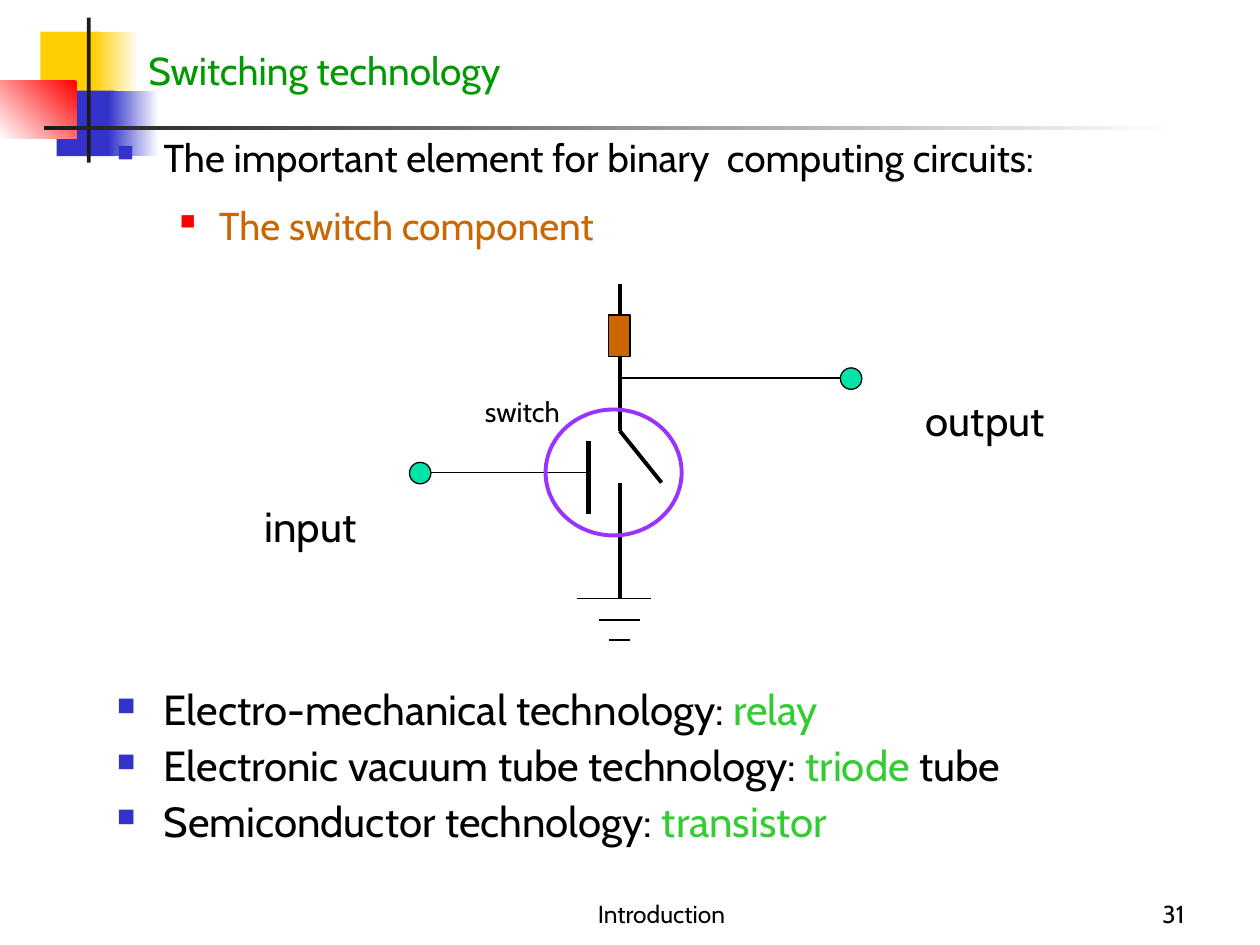
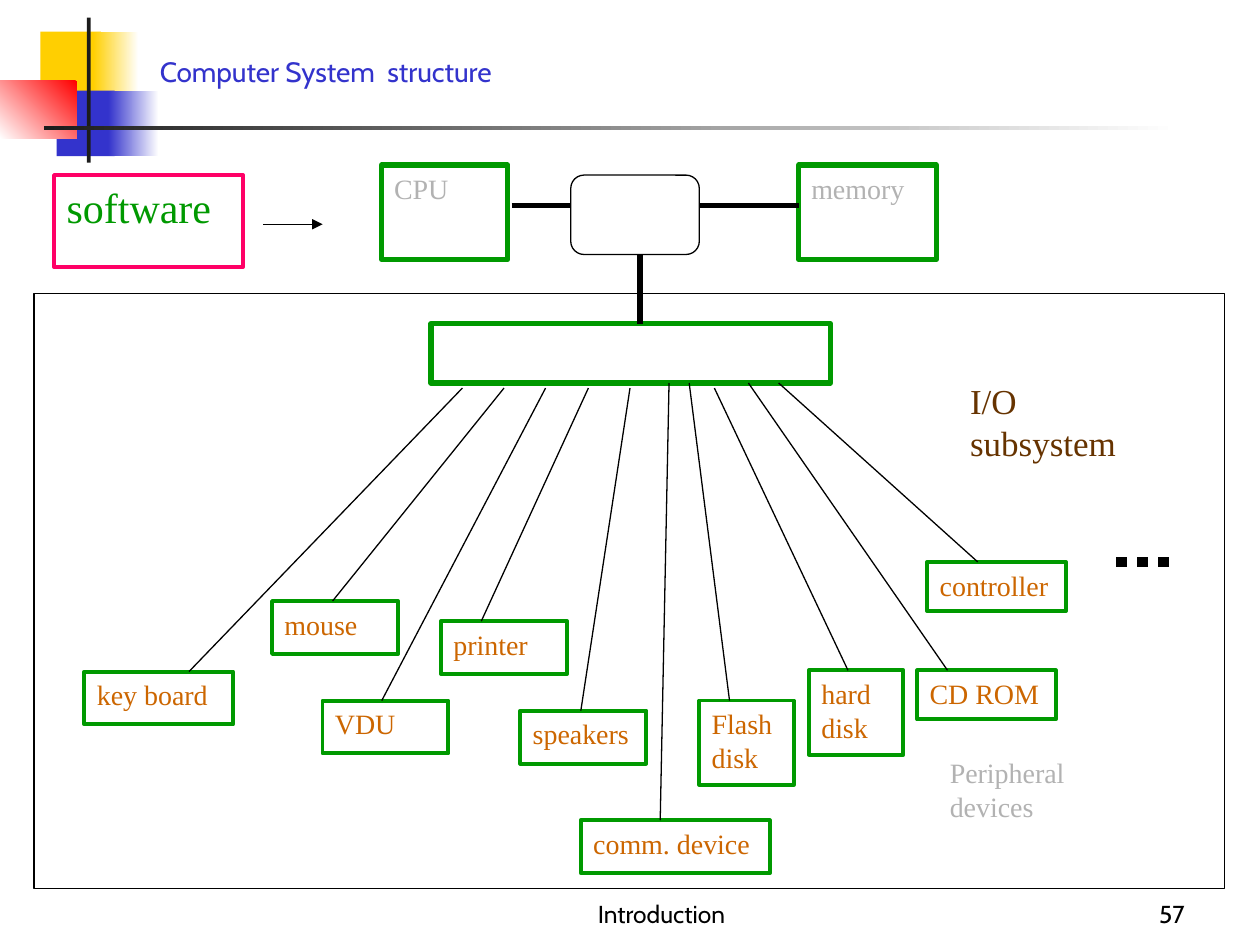
from lxml import etree
from pptx import Presentation
from pptx.dml.color import RGBColor
from pptx.enum.dml import MSO_LINE
from pptx.enum.shapes import MSO_CONNECTOR, MSO_SHAPE
from pptx.enum.text import MSO_ANCHOR, PP_ALIGN
from pptx.oxml.ns import qn
from pptx.util import Inches, Pt

RECT, ROUND, OVAL = MSO_SHAPE.RECTANGLE, MSO_SHAPE.ROUNDED_RECTANGLE, MSO_SHAPE.OVAL
STRAIGHT = MSO_CONNECTOR.STRAIGHT
DOTS = MSO_LINE.ROUND_DOT
LEFT, CENTER, RIGHT = PP_ALIGN.LEFT, PP_ALIGN.CENTER, PP_ALIGN.RIGHT
TOP, MIDDLE, BOTTOM = MSO_ANCHOR.TOP, MSO_ANCHOR.MIDDLE, MSO_ANCHOR.BOTTOM

BLACK = RGBColor(0x00, 0x00, 0x00)
WHITE = RGBColor(0xFF, 0xFF, 0xFF)
INK = RGBColor(0x1C, 0x1C, 0x1C)
GOLD = RGBColor(0xFF, 0xCF, 0x01)
BLUE = RGBColor(0x33, 0x33, 0xCC)
RED = RGBColor(0xFF, 0x00, 0x00)
GREEN = RGBColor(0x00, 0x99, 0x00)
LIME = RGBColor(0x33, 0xCC, 0x33)
MINT = RGBColor(0x00, 0xE4, 0xA8)
ORANGE = RGBColor(0xCC, 0x66, 0x00)
BROWN = RGBColor(0x66, 0x33, 0x00)
PURPLE = RGBColor(0x99, 0x33, 0xFF)
PINK = RGBColor(0xFF, 0x00, 0x66)
GRAY = RGBColor(0xB2, 0xB2, 0xB2)

SANS, SERIF = "Cabin", "Times New Roman"


def style(para, font, size, color):
    para.font.name = font
    para.font.size = Pt(size)
    para.font.color.rgb = color


def shape(slide, at, kind=RECT, fill=None, line=None, width=0.75):
    item = slide.shapes.add_shape(kind, *map(Inches, at))
    item.shadow.inherit = False
    if fill is None:
        item.fill.background()
    else:
        item.fill.solid()
        item.fill.fore_color.rgb = fill
    if line is None:
        item.line.fill.background()
    else:
        item.line.color.rgb = line
        item.line.width = Pt(width)
    return item


def fade(slide, at, start, end, angle):
    """Draw a bar whose colour runs from start to end."""
    fill = shape(slide, at).fill
    fill.gradient()
    fill.gradient_angle = angle
    for stop, color in zip(fill.gradient_stops, (start, end)):
        stop.color.rgb = color


def write(frame, text, font, size, color, align=LEFT, anchor=TOP):
    frame.word_wrap = True
    frame.vertical_anchor = anchor
    para = frame.paragraphs[0]
    para.text = text
    para.alignment = align
    style(para, font, size, color)
    return para


def label(slide, at, text, font, size, color, align=LEFT, anchor=TOP):
    frame = slide.shapes.add_textbox(*map(Inches, at)).text_frame
    return write(frame, text, font, size, color, align, anchor)


def box(slide, at, text, size=16, color=ORANGE, line=GREEN, width=2.25):
    frame = shape(slide, at, line=line, width=width).text_frame
    write(frame, text, SERIF, size, color)


def wire(slide, x1, y1, x2, y2, width=0.75):
    item = slide.shapes.add_connector(STRAIGHT, *map(Inches, (x1, y1, x2, y2)))
    item.line.color.rgb = BLACK
    item.line.width = Pt(width)
    etree.SubElement(item._element.spPr, qn("a:effectLst"))
    return item


def arrow(slide, *ends):
    line = wire(slide, *ends).line._get_or_add_ln()
    etree.SubElement(line, qn("a:tailEnd"), type="triangle")


def bullet(para, indent, hang, color, percent):
    props = para._p.get_or_add_pPr()
    props.set("marL", str(Inches(indent)))
    props.set("indent", str(-Inches(hang)))
    tint = etree.SubElement(props, qn("a:buClr"))
    etree.SubElement(tint, qn("a:srgbClr"), val=str(color))
    etree.SubElement(props, qn("a:buSzPct"), val=str(percent * 1000))
    etree.SubElement(props, qn("a:buChar"), char="■")


def points(slide, at, items, size, spacing):
    """Write bulleted items, each (level, space before, [(text, colour), ...])."""
    frame = slide.shapes.add_textbox(*map(Inches, at)).text_frame
    frame.word_wrap = True
    for i, (level, gap, parts) in enumerate(items):
        para = frame.add_paragraph() if i else frame.paragraphs[0]
        para.level = level
        para.line_spacing = spacing
        para.space_before = Pt(gap)
        bullet(para, *((0.81, 0.31, RED, 55) if level else (0.37, 0.37, BLUE, 60)))
        style(para, SANS, size, parts[0][1])
        for text, color in parts:
            run = para.add_run()
            run.text = text
            if color != parts[0][1]:
                run.font.color.rgb = color


def base(deck, number):
    """Add a slide with the corner blocks, rules and footer."""
    slide = deck.slides.add_slide(deck.slide_layouts[6])
    shape(slide, (0.32, 0.25, 0.48, 0.52), fill=GOLD)
    fade(slide, (0.74, 0.25, 0.36, 0.52), WHITE, GOLD, 180)
    shape(slide, (0.45, 0.72, 0.46, 0.52), fill=BLUE)
    fade(slide, (0.86, 0.72, 0.4, 0.52), WHITE, BLUE, 180)
    fade(slide, (0, 0.64, 0.61, 0.46), RED, WHITE, 225)
    shape(slide, (0.69, 0.14, 0.03, 1.15), fill=INK)
    fade(slide, (0.35, 1, 9, 0.03), WHITE, INK, 180)
    label(slide, (3.67, 6.92, 3.16, 0.5), "Introduction", SANS, 14, BLACK, CENTER, BOTTOM)
    label(slide, (7.42, 6.92, 2.08, 0.5), str(number), SANS, 14, BLACK, RIGHT, BOTTOM)
    return slide


def switch(deck):
    slide = base(deck, 31)
    points(slide, (0.83, 1.08, 8.5, 1.08), [
        (0, 0, [("The important element for binary  computing circuits:", BLACK)]),
        (1, 17.5, [("The switch component", ORANGE)]),
    ], 22.2, 0.8)
    title = label(slide, (1.08, 0.33, 8.25, 0.5), "Switching technology",
                  SANS, 22.2, GREEN, anchor=MIDDLE)
    title.line_spacing = 0.9

    mid = 4.92
    for ends in ((mid, 2.58, mid, 3.42), (mid, 3.42, 5.25, 3.83),
                 (mid, 3.83, mid, 4.75), (mid, 2.25, mid, 2.5)):
        wire(slide, *ends, 2.25)
    wire(slide, 4.67, 3.5, 4.67, 4.08, 3)
    wire(slide, 3.42, 3.75, 4.67, 3.75)
    wire(slide, mid, 3, 6.75, 3)
    for left, right, y in ((4.58, 5.17, 4.75), (4.75, 5.08, 4.92), (4.83, 5, 5.08)):
        wire(slide, left, y, right, y)
    for x, y in ((3.25, 3.67), (6.67, 2.92)):
        shape(slide, (x, y, 0.17, 0.17), OVAL, MINT, BLACK)
    shape(slide, (4.33, 3.25, 1.08, 1), OVAL, line=PURPLE, width=2.25)
    shape(slide, (4.83, 2.5, 0.17, 0.33), fill=ORANGE, line=BLACK)

    label(slide, (2, 3.92, 1.17, 0.5), "input", SANS, 24, BLACK)
    label(slide, (7.25, 3.08, 1.33, 0.5), "output", SANS, 24, BLACK)
    label(slide, (3.75, 3.08, 0.92, 0.37), "switch", SANS, 16, BLACK)
    points(slide, (0.83, 5.42, 8.5, 1.42), [
        (0, 0, [("Electro-mechanical technology: ", BLACK), ("relay", LIME)]),
        (0, 6, [("Electronic vacuum tube technology: ", BLACK), ("triode", LIME),
                (" tube", BLACK)]),
        (0, 6, [("Semiconductor technology: ", BLACK), ("transistor", LIME)]),
    ], 24, 0.9)


def system(deck):
    slide = base(deck, 57)
    label(slide, (1.17, 0.33, 8.08, 0.42), "Computer System  structure",
          SANS, 16, BLUE, anchor=BOTTOM)
    box(slide, (0.43, 1.39, 1.5, 0.73), "software", 24, GREEN, PINK)
    box(slide, (3.03, 1.31, 1, 0.75), "CPU", color=GRAY, width=3)
    box(slide, (6.34, 1.31, 1.09, 0.75), "memory", color=GRAY, width=3)
    shape(slide, (3.42, 2.57, 3.17, 0.47), line=GREEN, width=3)
    shape(slide, (4.53, 1.39, 1.02, 0.63), ROUND, line=BLACK)
    shape(slide, (0.27, 2.33, 9.45, 4.72), line=BLACK)
    arrow(slide, 2.09, 1.78, 2.56, 1.78)
    for ends in ((5.55, 1.63, 6.34, 1.63), (4.06, 1.63, 4.53, 1.63),
                 (5.08, 2.02, 5.08, 2.57)):
        wire(slide, *ends, 3)

    # Name, box, then the wire: x at the box, x and y at the bus
    for name, at, foot, x, y in (
        ("key board", (0.67, 5.33, 1.18, 0.42), 1.5, 3.67, 3.08),
        ("mouse", (2.16, 4.77, 1, 0.42), 2.64, 4, 3.08),
        ("VDU", (2.56, 5.56, 1, 0.42), 3.03, 4.33, 3.08),
        ("printer", (3.5, 4.93, 1, 0.42), 3.82, 4.67, 3.08),
        ("speakers", (4.13, 5.64, 1, 0.42), 4.61, 5, 3.08),
        ("comm. device", (4.61, 6.51, 1.5, 0.42), 5.24, 5.31, 3.04),
        ("Flash disk", (5.55, 5.56, 0.75, 0.67), 5.79, 5.47, 3.04),
        ("hard disk", (6.42, 5.32, 0.75, 0.67), 6.73, 5.67, 3.08),
        ("CD ROM", (7.28, 5.32, 1.1, 0.39), 7.52, 5.94, 3.04),
        ("controller", (7.36, 4.46, 1.1, 0.39), 7.76, 6.18, 3.04),
    ):
        box(slide, at, name)
        wire(slide, foot, at[1], x, y)

    wire(slide, 8.86, 4.46, 9.33, 4.46, 6).line.dash_style = DOTS
    label(slide, (7.6, 2.96, 1.42, 0.77), "I/O subsystem", SERIF, 20, BROWN)
    label(slide, (7.44, 5.95, 1.17, 0.64), "Peripheral devices", SERIF, 16, GRAY)


def main():
    deck = Presentation()
    deck.slide_width, deck.slide_height = Inches(10), Inches(7.5)
    switch(deck)
    system(deck)
    deck.save("out.pptx")


if __name__ == "__main__":
    main()
